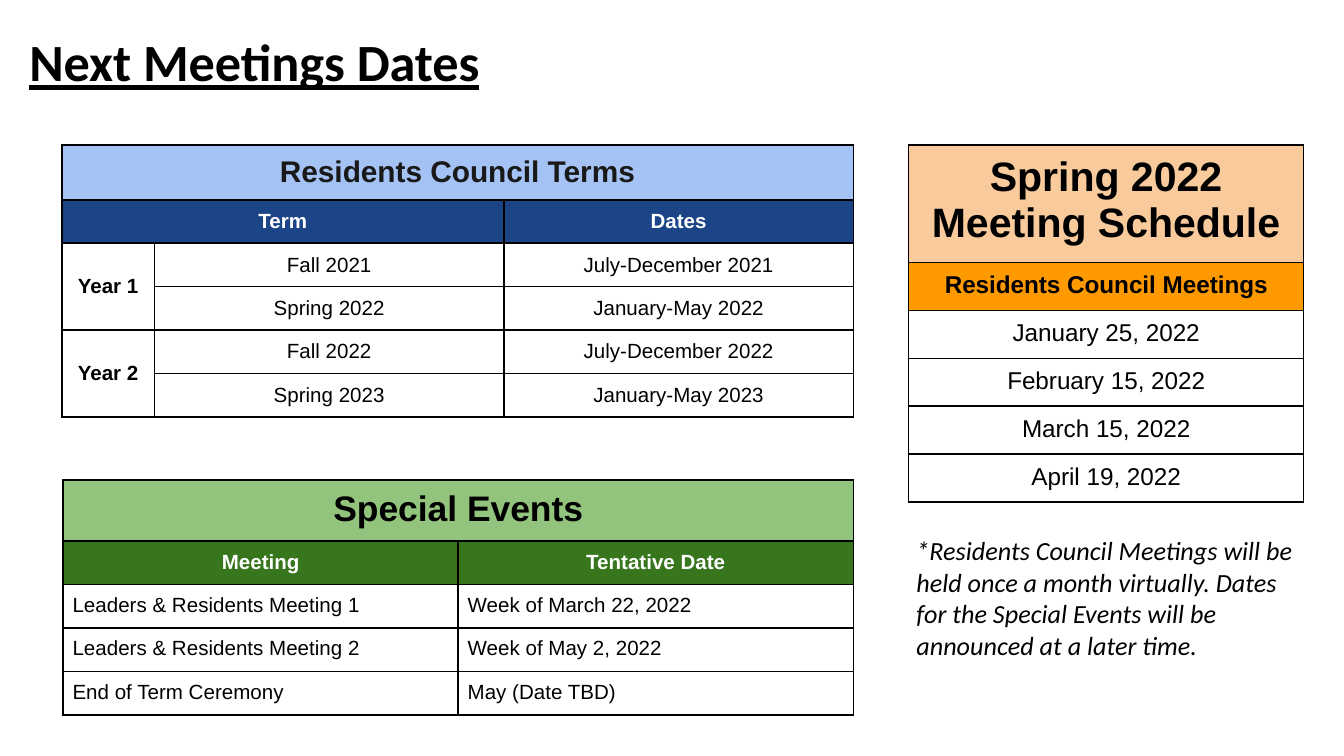
from lxml.etree import SubElement
from pptx import Presentation
from pptx.dml.color import RGBColor
from pptx.enum.text import MSO_ANCHOR as Anchor, MSO_AUTO_SIZE as AutoSize, PP_ALIGN as Align
from pptx.oxml import parse_xml
from pptx.oxml.ns import nsdecls, qn
from pptx.util import Inches, Pt

THEME = {
    "black": "000000", "white": "FFFFFF", "charcoal": "191919",
    "pale_blue": "A4C2F4", "navy": "1C4587",
    "peach": "F9CB9C", "orange": "FF9900",
    "pale_green": "93C47D", "green": "38761D",
    "sans": "Arial", "heading": "Calibri",
    "title": 28, "note": 14, "terms": 16, "schedule": 22, "events": 19,
    "body": 11, "dates": 13, "inset": 0.07, "border": 1,
}

TITLE = "Next Meetings Dates"
NOTE = ("*Residents Council Meetings will be held once a month virtually. "
        "Dates for the Special Events will be announced at a later time.")

TABLES = [
    {
        "at": (0.46, 1.08), "columns": [0.69, 2.6, 2.6], "heights": (0.4, 0.32),
        "rows": [
            ("Residents Council Terms", "", ""),
            ("Term", "", "Dates"),
            ("Year 1", "Fall 2021", "July-December 2021"),
            ("", "Spring 2022", "January-May 2022"),
            ("Year 2", "Fall 2022", "July-December 2022"),
            ("", "Spring 2023", "January-May 2023"),
        ],
        "merges": [((0, 0), (0, 2)), ((1, 0), (1, 1)), ((2, 0), (3, 0)), ((4, 0), (5, 0))],
        "fills": ("pale_blue", "navy"), "inks": ("charcoal", "white"),
        "sizes": ("terms", "body"), "bold_column": 0,
        "align": Align.CENTER, "anchor": Anchor.MIDDLE,
    },
    {
        "at": (6.76, 1.08), "columns": [2.94], "heights": (0.87, 0.35),
        "rows": [
            ("Spring 2022 Meeting Schedule",),
            ("Residents Council Meetings",),
            ("January 25, 2022",),
            ("February 15, 2022",),
            ("March 15, 2022",),
            ("April 19, 2022",),
        ],
        "merges": [],
        "fills": ("peach", "orange"), "inks": ("black", "black"),
        "sizes": ("schedule", "dates"), "bold_column": None,
        "align": Align.CENTER, "anchor": Anchor.TOP,
    },
    {
        "at": (0.47, 3.57), "columns": [2.94, 2.94], "heights": (0.45, 0.32),
        "rows": [
            ("Special Events", ""),
            ("Meeting", "Tentative Date"),
            ("Leaders & Residents Meeting 1", "Week of March 22, 2022"),
            ("Leaders & Residents Meeting 2", "Week of May 2, 2022"),
            ("End of Term Ceremony", "May (Date TBD)"),
        ],
        "merges": [((0, 0), (0, 1))],
        "fills": ("pale_green", "green"), "inks": ("black", "white"),
        "sizes": ("events", "body"), "bold_column": None,
        "align": Align.LEFT, "anchor": Anchor.TOP,
    },
]


def write(frame, text, *, size, font="sans", ink="black", align=Align.LEFT,
          bold=False, italic=False, underline=False):
    frame.word_wrap = True
    para = frame.paragraphs[0]
    para.alignment = align
    span = para.add_run()
    span.text = text
    span.font.name = THEME[font]
    span.font.size = Pt(THEME[size])
    span.font.color.rgb = RGBColor.from_string(THEME[ink])
    span.font.bold = bold
    span.font.italic = italic
    span.font.underline = underline


def add_text(page, text, at, **style):
    box = page.shapes.add_textbox(*map(Inches, at))
    frame = box.text_frame
    frame.margin_left = frame.margin_right = Inches(0.1)
    frame.margin_top = frame.margin_bottom = Inches(0.1)
    write(frame, text, **style)
    frame.auto_size = AutoSize.SHAPE_TO_FIT_TEXT


def add_borders(cell):
    properties = cell._tc.get_or_add_tcPr()
    for index, side in enumerate(("lnL", "lnR", "lnT", "lnB")):
        line = parse_xml(f'<a:{side} {nsdecls("a")} w="{Pt(THEME["border"])}"/>')
        fill = SubElement(line, qn("a:solidFill"))
        SubElement(fill, qn("a:srgbClr"), val=THEME["black"])
        properties.insert(index, line)


def format_cell(cell, text, row, column, data):
    is_header = row < 2
    cell.margin_left = cell.margin_right = Inches(THEME["inset"])
    cell.margin_top = cell.margin_bottom = Inches(THEME["inset"])
    cell.vertical_anchor = data["anchor"]
    if is_header:
        cell.fill.solid()
        cell.fill.fore_color.rgb = RGBColor.from_string(THEME[data["fills"][row]])
    else:
        cell.fill.background()
    add_borders(cell)
    if text:
        write(cell.text_frame, text, size=data["sizes"][min(row, 1)],
              ink=data["inks"][row] if is_header else "black",
              align=Align.CENTER if is_header else data["align"],
              bold=is_header or column == data["bold_column"])


def add_grid(page, data):
    rows, columns = data["rows"], data["columns"]
    first, rest = data["heights"]
    heights = [first] + [rest] * (len(rows) - 1)
    size = (sum(columns), sum(heights))
    frame = page.shapes.add_table(len(rows), len(columns), *map(Inches, data["at"] + size))
    table = frame.table
    for column, width in zip(table.columns, columns):
        column.width = Inches(width)
    for row, height in zip(table.rows, heights):
        row.height = Inches(height)
    for row, texts in enumerate(rows):
        for column, text in enumerate(texts):
            format_cell(table.cell(row, column), text, row, column, data)
    for start, end in data["merges"]:
        table.cell(*start).merge(table.cell(*end))


def main():
    deck = Presentation()
    deck.slide_width = Inches(10)
    deck.slide_height = deck.slide_width * 9 // 16
    page = deck.slides.add_slide(deck.slide_layouts[6])
    add_text(page, TITLE, (0.12, 0.12, 8.31, 0.67), size="title", font="heading",
             bold=True, underline=True)
    for data in TABLES:
        add_grid(page, data)
    add_text(page, NOTE, (6.72, 3.88, 3.01, 1.14), size="note", font="heading", italic=True)
    deck.save("out.pptx")


if __name__ == "__main__":
    main()
